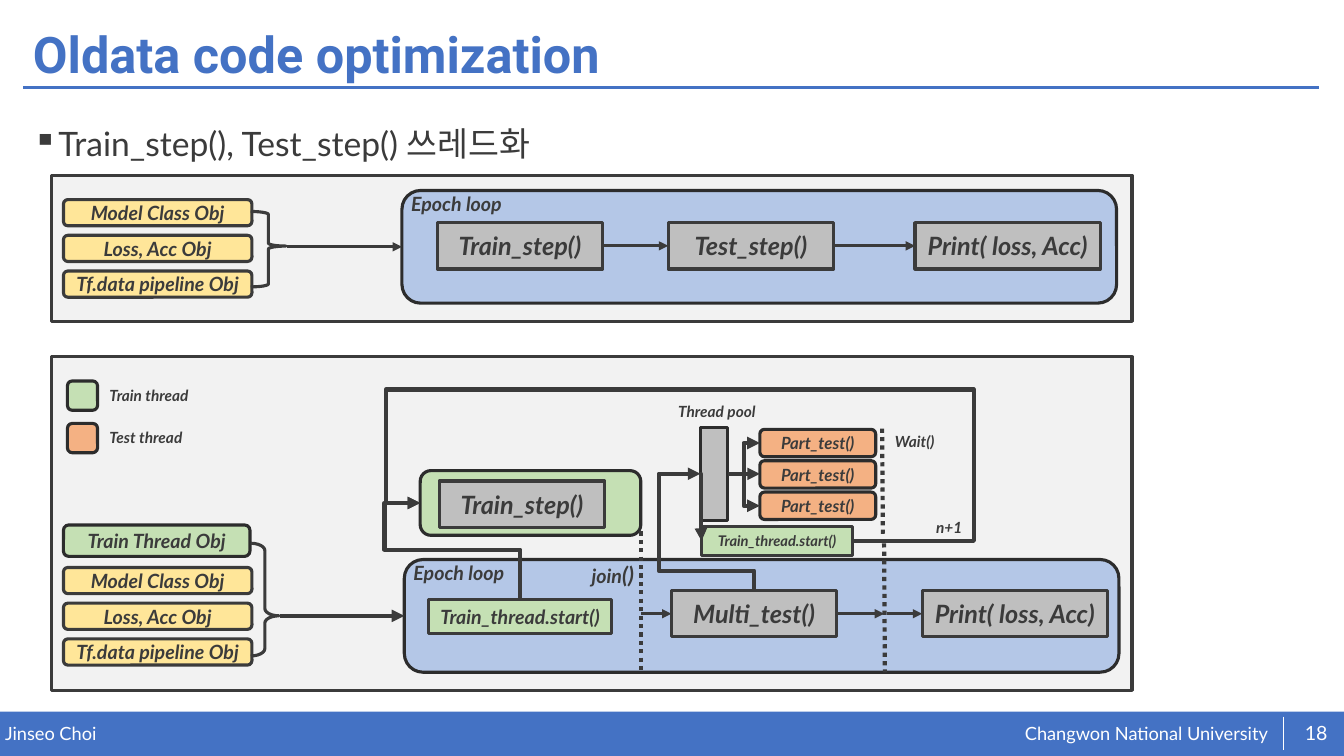
from lxml.etree import SubElement
from pptx import Presentation
from pptx.dml.color import RGBColor
from pptx.enum.dml import MSO_LINE
from pptx.enum.shapes import MSO_CONNECTOR as LINK, MSO_SHAPE as SHAPE
from pptx.enum.text import MSO_ANCHOR as ANCHOR, PP_ALIGN as ALIGN
from pptx.oxml.ns import qn
from pptx.util import Cm, Pt

BLUE, WHITE, INK, EDGE = "4472C4", "FFFFFF", "3B3B3B", "2C2C2C"
PANEL, LOOP, STEP = "F2F2F2", "B4C7E7", "BFBFBF"
YELLOW, GREEN, ORANGE = "FFE699", "C5E0B4", "F4B183"
TOP, LEFT, RIGHT = 0, 1, 3  # connection sites
STEP_W, STEP_H, PRINT_W = 4.17, 1.17, 4.67


def color(hex_code):
    return RGBColor.from_string(hex_code)


def add_run(paragraph, words, size, ink=INK, font="Lato", bold=True, italic=True):
    run = paragraph.add_run()
    run.text = words
    run.font.name, run.font.size = font, Pt(size)
    run.font.bold, run.font.italic = bold, italic
    run.font.color.rgb = color(ink)


def add_block(slide, x, y, w, h, fill, words="", size=14, kind=SHAPE.RECTANGLE,
              edge=INK):
    block = slide.shapes.add_shape(kind, Cm(x), Cm(y), Cm(w), Cm(h))
    block.shadow.inherit = False
    if fill:
        block.fill.solid()
        block.fill.fore_color.rgb = color(fill)
    else:
        block.fill.background()
    if edge:
        block.line.color.rgb = color(edge)
        block.line.width = Pt(2.25)
    else:
        block.line.fill.background()
    if words:
        frame = block.text_frame
        frame.word_wrap = False
        frame.vertical_anchor = ANCHOR.MIDDLE
        frame.paragraphs[0].alignment = ALIGN.CENTER
        add_run(frame.paragraphs[0], words, size)
    return block


def add_rounded(slide, x, y, w, h, fill, words="", size=14, edge=EDGE):
    return add_block(slide, x, y, w, h, fill, words, size,
                     SHAPE.ROUNDED_RECTANGLE, edge)


def add_text(slide, x, y, w, h, anchor=ANCHOR.TOP, inset=True):
    frame = slide.shapes.add_textbox(Cm(x), Cm(y), Cm(w), Cm(h)).text_frame
    frame.word_wrap = True
    frame.vertical_anchor = anchor
    if not inset:
        frame.margin_left = frame.margin_right = 0
        frame.margin_top = frame.margin_bottom = 0
    return frame.paragraphs[0]


def add_label(slide, x, y, words, size=11):
    add_run(add_text(slide, x, y, 5, 0.74), words, size)


def style_line(line, ink, width, arrow):
    line.line.color.rgb = color(ink)
    line.line.width = Pt(width)
    SubElement(line._element.spPr, qn("a:effectLst"))
    if arrow:
        SubElement(line.line._get_or_add_ln(), qn("a:tailEnd"), type="triangle")


def add_line(slide, x1, y1, x2, y2, ink=INK, width=2.25, arrow=False):
    line = slide.shapes.add_connector(LINK.STRAIGHT, Cm(x1), Cm(y1), Cm(x2), Cm(y2))
    style_line(line, ink, width, arrow)
    return line


def add_dots(slide, x1, y1, x2, y2):
    add_line(slide, x1, y1, x2, y2, width=3).line.dash_style = MSO_LINE.ROUND_DOT


def add_elbow(slide, source, out_site, target, in_site, bends, turned=False):
    """Glue an elbow arrow between two blocks; bends are fractions of its box."""
    elbow = slide.shapes.add_connector(LINK.ELBOW, 0, 0, 0, 0)
    elbow.begin_connect(source, out_site)
    elbow.end_connect(target, in_site)
    if turned:  # leaves upwards: quarter turn around the centre
        w, h = elbow.width, elbow.height
        elbow.left, elbow.top = elbow.left + (w - h) // 2, elbow.top + (h - w) // 2
        elbow.width, elbow.height = h, w
        xfrm = elbow._element.spPr.xfrm
        xfrm.rot, xfrm.flipH, xfrm.flipV = 270, False, True
    geometry = elbow._element.spPr.find(qn("a:prstGeom"))
    geometry.set("prst", f"bentConnector{len(bends) + 2}")
    guides = geometry.find(qn("a:avLst"))
    if guides is None:
        guides = SubElement(geometry, qn("a:avLst"))
    for number, bend in enumerate(bends, 1):
        name = "adj" if len(bends) == 1 else f"adj{number}"
        SubElement(guides, qn("a:gd"), name=name, fmla=f"val {round(bend * 100000)}")
    style_line(elbow, INK, 3, True)


def add_brace(slide, x, y, w, h, curve, point):
    brace = add_block(slide, x, y, w, h, None, kind=SHAPE.RIGHT_BRACE)
    brace.adjustments[0], brace.adjustments[1] = curve, point


def add_objects(slide, x, y):
    for row, name in enumerate(["Model Class Obj", "Loss, Acc Obj",
                                "Tf.data pipeline Obj"]):
        add_rounded(slide, x, y + row * 0.9, 4.75, 0.66, YELLOW, name, edge=INK)


def add_loop(slide, x, y):
    add_rounded(slide, x, y, 18.01, 2.84, LOOP)
    add_label(slide, x - 0.02, y - 0.1, "Epoch loop", 14)


def heading(slide, x, y, w):
    title = add_text(slide, x, y, w, 1.96, ANCHOR.MIDDLE)
    title.line_spacing = 0.9
    add_run(title, "Oldata code optimization", 36, BLUE, "Roboto", italic=False)
    add_line(slide, x, y + 1.75, x + w, y + 1.75, BLUE, 2)
    topic = add_text(slide, x, y + 2.11, w, 1.5)
    properties = topic._p.get_or_add_pPr()
    properties.set("marL", str(Cm(0.64)))
    properties.set("indent", str(-Cm(0.64)))
    topic.line_spacing = 1.4
    SubElement(properties, qn("a:buChar"), char="▪")
    add_run(topic, "Train_step(), Test_step() 쓰레드화", 24, bold=False, italic=False)


def sequential_panel(slide, x, y, w, h):
    add_block(slide, x, y, w, h, PANEL)
    add_objects(slide, x + 0.3, y + 0.61)
    add_brace(slide, x + 5.02, y + 0.91, 0.89, 1.9, 0.083, 0.459)
    loop_x, loop_y = x + 8.83, y + 0.38
    add_loop(slide, loop_x, loop_y)
    add_line(slide, x + 5.94, y + 1.8, loop_x, y + 1.8, arrow=True)
    # Steps joined by arrows
    step_y = loop_y + 0.81
    arrow_from = None
    for dx, step_w, name in [(0.89, STEP_W, "Train_step()"), (6.71, STEP_W, "Test_step()"),
                             (12.93, PRINT_W, "Print( loss, Acc)")]:
        step_x = loop_x + dx
        add_block(slide, step_x, step_y, step_w, STEP_H, STEP, name, 18)
        if arrow_from:
            middle = step_y + STEP_H / 2
            add_line(slide, arrow_from, middle, step_x, middle, arrow=True)
        arrow_from = step_x + step_w


def threaded_panel(slide, x, y, w, h):
    add_block(slide, x, y, w, h, PANEL)
    # Legend
    for dy, fill, name in [(0.61, GREEN, "Train thread"), (1.68, ORANGE, "Test thread")]:
        add_rounded(slide, x + 0.4, y + dy, 0.76, 0.74, fill)
        add_label(slide, x + 1.21, y + dy, name)
    # Objects feeding the loop
    add_rounded(slide, x + 0.3, y + 4.24, 4.7, 0.79, GREEN, "Train Thread Obj")
    add_objects(slide, x + 0.3, y + 5.31)
    add_brace(slide, x + 5.02, y + 4.7, 0.71, 2.84, 0.258, 0.644)
    loop_x, loop_y = x + 8.89, y + 5.11
    add_loop(slide, loop_x, loop_y)
    add_line(slide, x + 5.76, y + 6.53, loop_x, y + 6.53, width=3, arrow=True)
    # Steps inside the loop
    step_y = loop_y + 0.78
    middle = step_y + STEP_H / 2
    train_start = add_block(slide, loop_x + 0.61, loop_y + 1.01, 4.62, 0.86, GREEN,
                            "Train_thread.start()")
    multi_test = add_block(slide, loop_x + 6.73, step_y, STEP_W, STEP_H, STEP,
                           "Multi_test()", 18)
    add_block(slide, loop_x + 13.05, step_y, PRINT_W, STEP_H, STEP,
              "Print( loss, Acc)", 18)
    for start, end in [(5.96, 6.73), (10.9, 12.09), (12.16, 13.05)]:
        add_line(slide, loop_x + start, middle, loop_x + end, middle, arrow=True)
    # Train thread and thread pool
    train_thread = add_rounded(slide, x + 9.29, y + 2.87, 5.56, 1.63, GREEN)
    add_block(slide, x + 9.77, y + 3.13, STEP_W, STEP_H, STEP, "Train_step()", 18)
    pool = add_rounded(slide, x + 16.35, y + 1.78, 0.69, 2.34, STEP)
    pool.adjustments[0] = 0
    next_start = add_block(slide, x + 16.38, y + 4.27, 3.81, 0.74, GREEN,
                           "Train_thread.start()", 10.5)
    for row in range(3):
        part = add_rounded(slide, x + 17.85, y + 1.83 + row * 0.79, 2.92, 0.69,
                           ORANGE, "Part_test()", 12)
        if row == 1:
            add_line(slide, x + 17.04, y + 2.95, x + 17.85, y + 2.95, width=3, arrow=True)
        else:
            add_elbow(slide, pool, RIGHT, part, LEFT, [0.5])
    # Routes between threads
    add_elbow(slide, pool, LEFT, next_start, LEFT, [-21.33])
    add_elbow(slide, train_start, TOP, train_thread, LEFT, [0.517, 1.358], True)
    add_elbow(slide, multi_test, TOP, pool, LEFT, [0.17, 1.774], True)
    add_elbow(slide, next_start, RIGHT, train_thread, LEFT, [-0.28, 3.993, 1.079])
    # Waiting points
    for x1, y1, x2, y2 in [(14.85, 4.4, 14.85, 7.93), (20.93, 1.81, 20.95, 4.5),
                           (20.98, 4.7, 21, 7.95)]:
        add_dots(slide, x + x1, y + y1, x + x2, y + y2)
    join = add_text(slide, x + 13.36, y + 5.03, 5, 0.94)
    add_run(join, "join", 14)
    add_run(join, "()", 16)
    for dx, dy, words in [(15.54, 1.02, "Thread pool"), (21, 1.78, "Wait()"),
                          (22.04, 3.94, "n+1")]:
        add_label(slide, x + dx, y + dy, words)


def footer(slide, x, y, w, h):
    add_block(slide, x, y, w, h, BLUE, edge=None)
    add_line(slide, x + 32.33, y + 0.13, x + 32.33, y + 0.97, WHITE, 0.5)
    for dx, dy, text_w, words, size in [(0.13, 0.28, 16, "Jinseo Choi", 13),
                                        (25.83, 0.26, 6.4, "Changwon National University", 13),
                                        (32.56, 0.24, 1.22, "18", 14)]:
        line = add_text(slide, x + dx, y + dy, text_w, 0.58, inset=False)
        if words == "18":
            line.alignment = ALIGN.CENTER
        add_run(line, words, size, WHITE, bold=False, italic=False)


def main():
    deck = Presentation()
    deck.slide_width, deck.slide_height = Cm(33.87), Cm(19.05)
    slide = deck.slides.add_slide(deck.slide_layouts[6])
    footer(slide, 0, 17.93, 33.87, 1.12)
    heading(slide, 0.58, 0.46, 32.66)
    sequential_panel(slide, 1.3, 4.42, 27.23, 3.68)
    threaded_panel(slide, 1.3, 8.99, 27.23, 8.41)
    deck.save("out.pptx")


if __name__ == "__main__":
    main()
